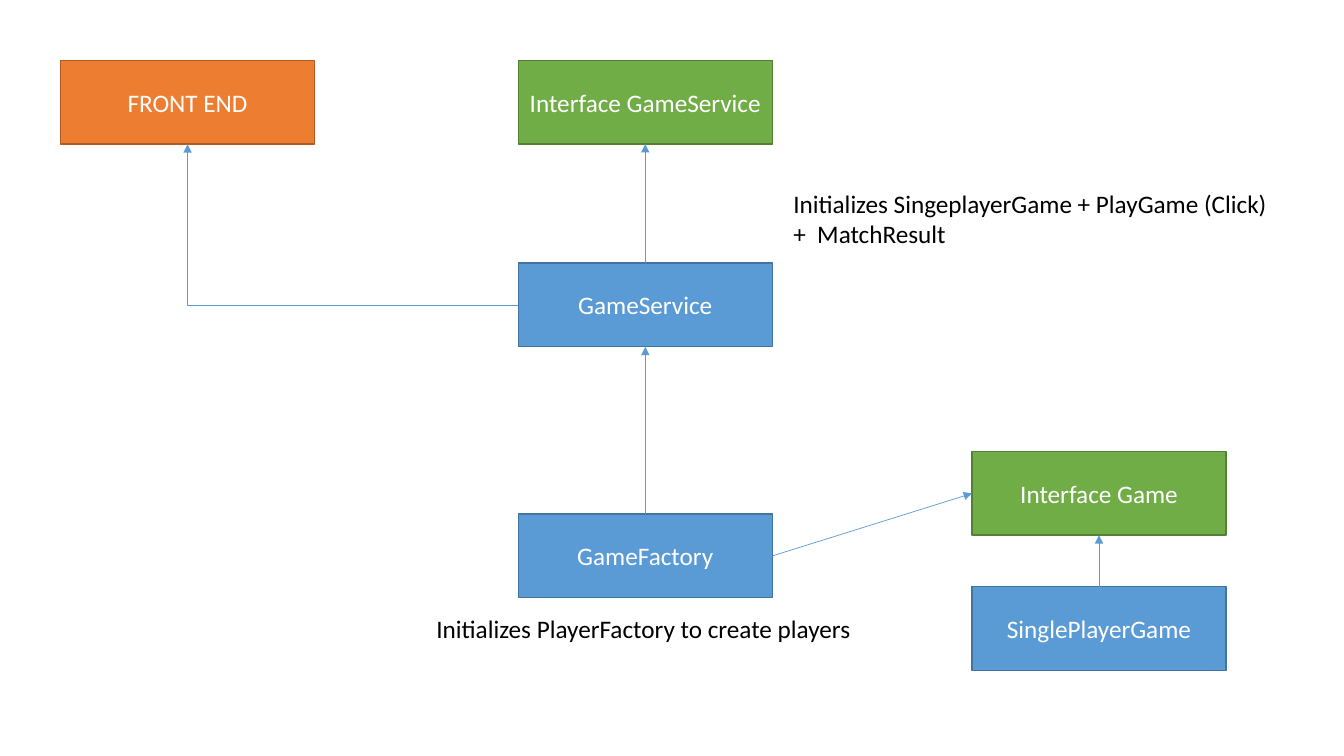
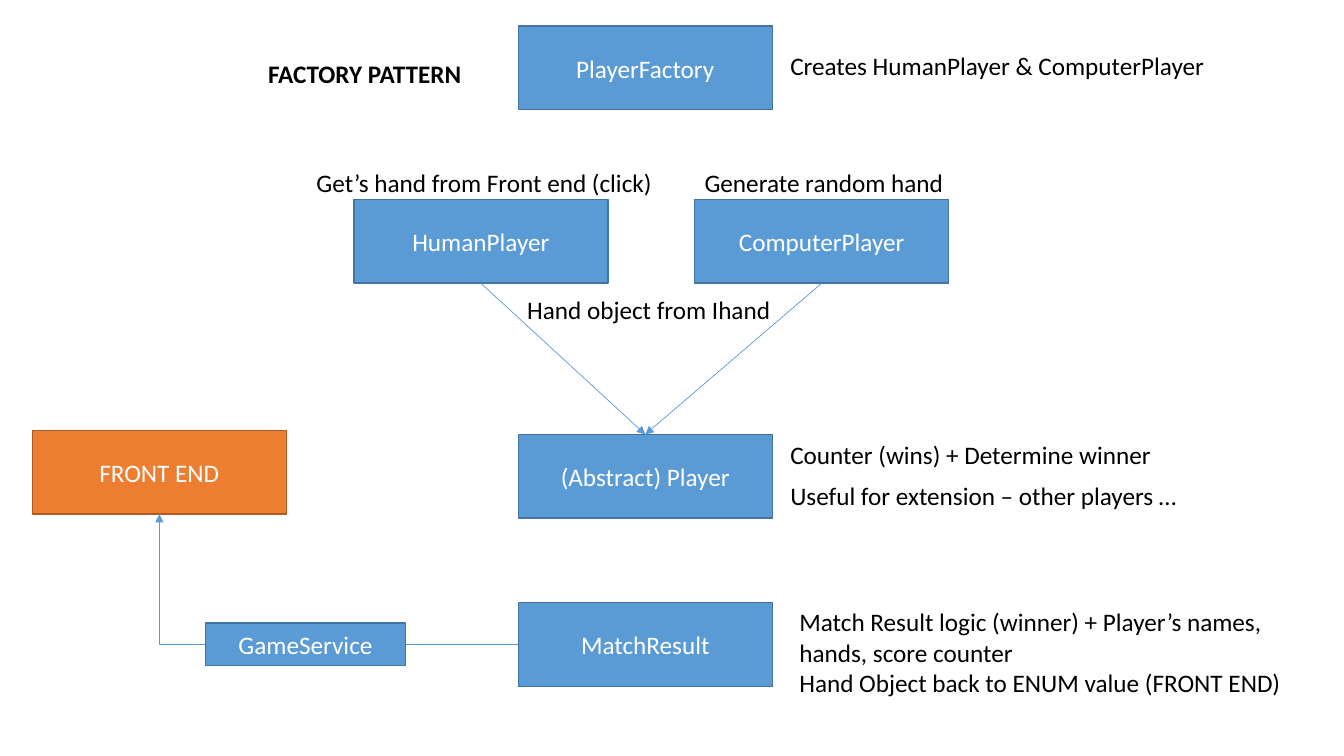
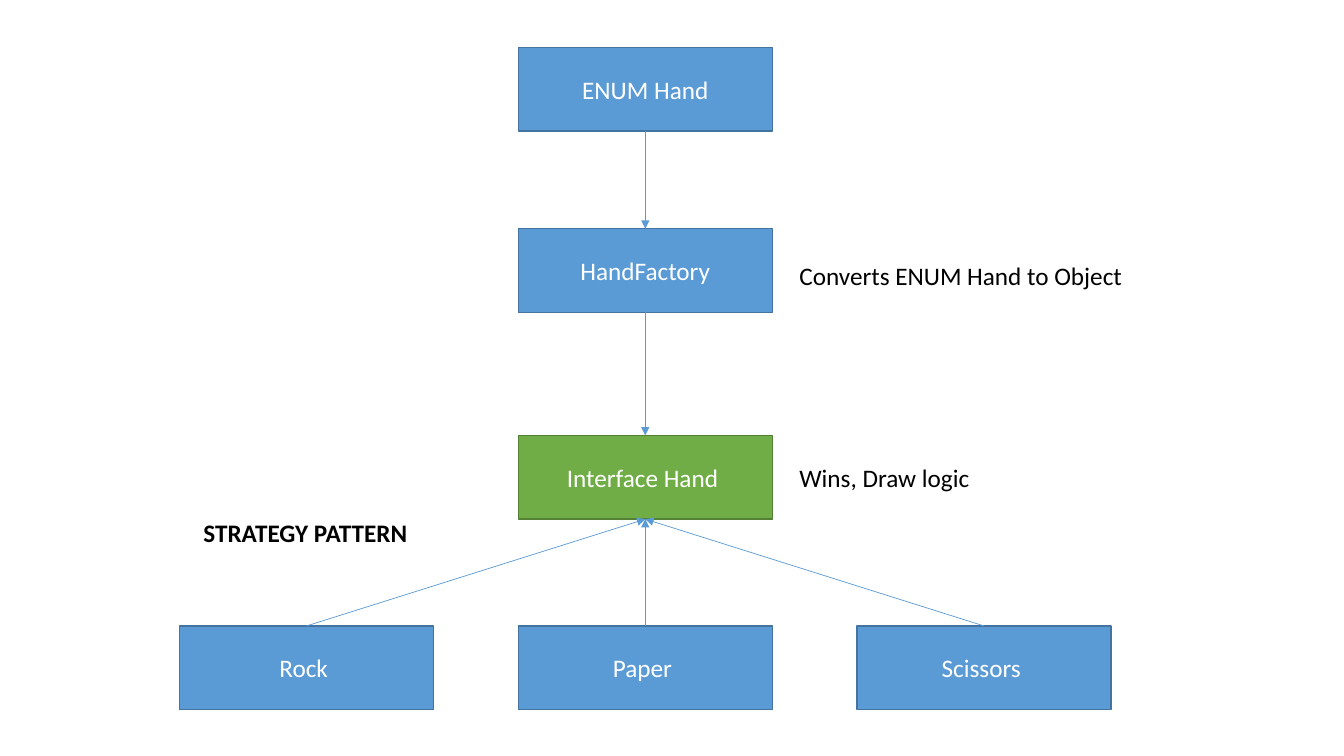
from dataclasses import dataclass

from lxml import etree
from pptx import Presentation
from pptx.dml.color import RGBColor
from pptx.enum.shapes import MSO_CONNECTOR, MSO_SHAPE
from pptx.enum.text import MSO_ANCHOR, MSO_AUTO_SIZE, PP_ALIGN
from pptx.oxml.ns import qn
from pptx.util import Inches, Pt

RECT = MSO_SHAPE.RECTANGLE
STRAIGHT, ELBOW = MSO_CONNECTOR.STRAIGHT, MSO_CONNECTOR.ELBOW
MIDDLE, CENTER = MSO_ANCHOR.MIDDLE, PP_ALIGN.CENTER
GROW = MSO_AUTO_SIZE.SHAPE_TO_FIT_TEXT

# Connection sites of a rectangle
TOP, LEFT, BOTTOM, RIGHT = range(4)

WHITE = RGBColor(0xFF, 0xFF, 0xFF)
BLACK = RGBColor(0x00, 0x00, 0x00)
BLUE = RGBColor(0x5B, 0x9B, 0xD5)
NAVY = RGBColor(0x43, 0x73, 0x9E)
GREEN = RGBColor(0x70, 0xAD, 0x47)
MOSS = RGBColor(0x53, 0x80, 0x35)
ORANGE = RGBColor(0xED, 0x7D, 0x31)
RUST = RGBColor(0xAF, 0x5C, 0x24)
EDGES = {BLUE: NAVY, GREEN: MOSS, ORANGE: RUST}

FONT = {"name": "Calibri", "size": Pt(18)}
MID = 5.14  # left edge of the centre column
STEP = 3.36  # pitch of the bottom row of hands


@dataclass
class Box:
    text: str
    left: float
    top: float
    fill: RGBColor = BLUE
    width: float = 2.52
    height: float = 0.83


@dataclass
class Note:
    text: str
    left: float
    top: float
    width: float
    height: float = 0.4
    bold: bool = False


@dataclass
class Link:
    start: str
    out: int
    end: str
    into: int
    bent: bool = False


# Shared drawing
def write(frame, text: str, color: RGBColor, bold: bool = False) -> None:
    frame.word_wrap = True
    frame.text = text
    for para in frame.paragraphs:
        for key, value in FONT.items():
            setattr(para.font, key, value)
        para.font.bold = bold
        para.font.color.rgb = color


def draw_box(slide, box: Box):
    shape = slide.shapes.add_shape(
        RECT, *map(Inches, (box.left, box.top, box.width, box.height)))
    shape.shadow.inherit = False
    shape.fill.solid()
    shape.fill.fore_color.rgb = box.fill
    shape.line.color.rgb = EDGES[box.fill]
    shape.line.width = Pt(1)
    write(shape.text_frame, box.text, WHITE)
    shape.text_frame.vertical_anchor = MIDDLE
    shape.text_frame.paragraphs[0].alignment = CENTER
    return shape


def draw_note(slide, note: Note) -> None:
    area = slide.shapes.add_textbox(
        *map(Inches, (note.left, note.top, note.width, note.height)))
    write(area.text_frame, note.text, BLACK, note.bold)
    area.text_frame.auto_size = GROW


def draw_link(slide, link: Link, boxes: dict) -> None:
    line = slide.shapes.add_connector(ELBOW if link.bent else STRAIGHT, 0, 0, 0, 0)
    line.begin_connect(boxes[link.start], link.out)
    line.end_connect(boxes[link.end], link.into)
    line.line.color.rgb = BLUE
    line.line.width = Pt(0.5)
    props = line._element.spPr
    etree.SubElement(props.find(qn("a:ln")), qn("a:tailEnd"), type="triangle")
    etree.SubElement(props, qn("a:effectLst"))
    if link.bent:  # one corner, turned to run left and then up
        props.find(qn("a:prstGeom")).set("prst", "bentConnector2")
        frame = props.find(qn("a:xfrm"))
        for flip in ("flipH", "flipV"):
            frame.attrib.pop(flip, None)
        frame.set("rot", "10800000")


def draw_slide(deck, items: list) -> None:
    slide = deck.slides.add_slide(deck.slide_layouts[6])
    boxes = {}
    for item in items:
        if isinstance(item, Box):
            boxes[item.text.strip()] = draw_box(slide, item)
        elif isinstance(item, Note):
            draw_note(slide, item)
        else:
            draw_link(slide, item, boxes)


# Game service and factory
SERVICE = [
    Box("Interface GameService ", MID, 0.6, GREEN),
    Box("GameService", MID, 2.61),
    Box("FRONT END", 0.6, 0.6, ORANGE),
    Box("Interface Game", 9.64, 4.48, GREEN),
    Box("SinglePlayerGame", 9.64, 5.82),
    Box("GameFactory", MID, 5.1),
    Link("GameService", TOP, "Interface GameService", BOTTOM),
    Link("GameService", LEFT, "FRONT END", BOTTOM, bent=True),
    Link("SinglePlayerGame", TOP, "Interface Game", BOTTOM),
    Link("GameFactory", RIGHT, "Interface Game", LEFT),
    Link("GameFactory", TOP, "GameService", BOTTOM),
    Note("Initializes SingeplayerGame + PlayGame (Click) +  MatchResult",
         7.77, 1.82, 4.94, 0.71),
    Note("Initializes PlayerFactory to create players", 4.23, 6.04, 4.94),
]

# Players and match result
PLAYERS = [
    Box("(Abstract) Player", MID, 4.31),
    Box("ComputerPlayer", 6.89, 1.98),
    Box("HumanPlayer", 3.51, 1.98),
    Box("MatchResult", MID, 5.98),
    Box("PlayerFactory", MID, 0.26),
    Box("FRONT END", 0.32, 4.27, ORANGE),
    Link("HumanPlayer", BOTTOM, "(Abstract) Player", TOP),
    Link("ComputerPlayer", BOTTOM, "(Abstract) Player", TOP),
    Link("MatchResult", LEFT, "FRONT END", BOTTOM, bent=True),
    Box("GameService", 2.04, 6.18, width=1.98, height=0.42),
    Note("Match Result logic (winner) + Player’s names, hands, score counter\n"
         "Hand Object back to ENUM value (FRONT END)", 7.83, 5.97, 5.27, 1.01),
    Note("Counter (wins) + Determine winner", 7.74, 4.31, 4),
    Note("Get’s hand from Front end (click)", 3.04, 1.61, 3.78),
    Note("Generate random hand", 6.89, 1.61, 4.94),
    Note("Hand object from Ihand", 5.13, 2.87, 2.7),
    Note("Creates HumanPlayer & ComputerPlayer", 7.74, 0.45, 4.94),
    Note("FACTORY PATTERN", 2.56, 0.53, 2.21, bold=True),
    Note("Useful for extension – other players …", 7.74, 4.72, 4.47),
]

# Hands
NAMES = ("Rock", "Paper", "Scissors")
HANDS = [
    Box("Interface Hand ", MID, 4.32, GREEN),
    *(Box(name + " ", MID + STEP * (i - 1), 6.21) for i, name in enumerate(NAMES)),
    Box("ENUM Hand", MID, 0.47),
    Box("HandFactory", MID, 2.27),
    *(Link(name, TOP, "Interface Hand", BOTTOM) for name in NAMES),
    Link("ENUM Hand", BOTTOM, "HandFactory", TOP),
    Link("HandFactory", BOTTOM, "Interface Hand", TOP),
    Note("Converts ENUM Hand to Object", 7.83, 2.53, 4.5),
    Note("Wins, Draw logic", 7.83, 4.54, 4.5),
    Note("STRATEGY PATTERN", 1.92, 5.08, 2.24, bold=True),
]

deck = Presentation()
deck.slide_width, deck.slide_height = Inches(13.33), Inches(7.5)
for items in (SERVICE, PLAYERS, HANDS):
    draw_slide(deck, items)
deck.save("out.pptx")
